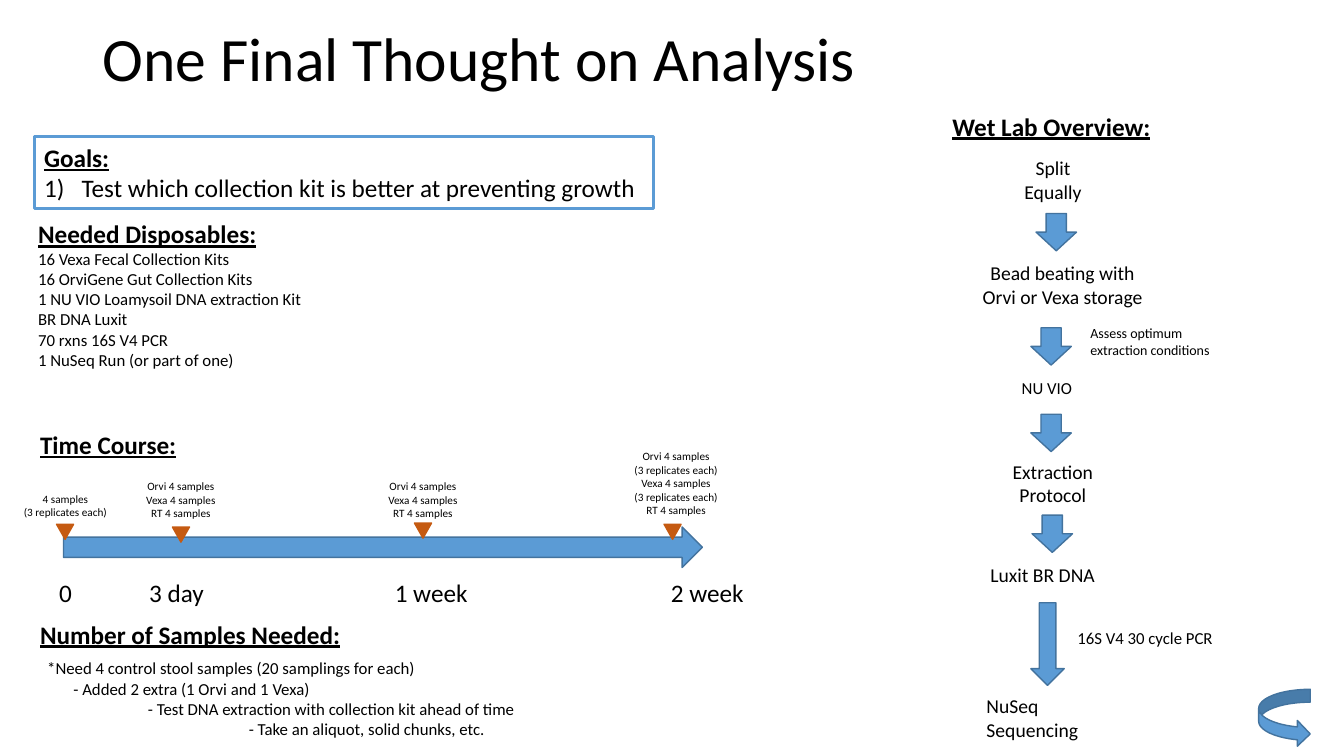
from dataclasses import dataclass

from pptx import Presentation
from pptx import util as u
from pptx.dml.color import RGBColor
from pptx.enum import shapes, text

COLORS = {
    "ink": "000000",
    "blue": "5B9BD5",
    "blue_edge": "43739E",
    "orange": "C55A11",
}
SHAPE = shapes.MSO_SHAPE
LEFT, CENTER = text.PP_ALIGN.LEFT, text.PP_ALIGN.CENTER


@dataclass
class Line:
    text: str
    size: float
    heading: bool = False
    indent: float = 0


@dataclass
class Box:
    left: float
    top: float
    width: float
    height: float


@dataclass
class Label:
    box: Box
    lines: list[Line]
    align: text.PP_ALIGN = LEFT


@dataclass
class Stop:
    name: str
    name_center: float
    name_width: float
    marker_center: float
    marker_top: float
    samples: list[str]
    samples_center: float
    samples_width: float
    samples_bottom: float


def heading(words: str) -> Line:
    return Line(words, 18, heading=True)


def body(size: float, *rows: str) -> list[Line]:
    return [Line(row, size) for row in rows]


def cm(box: Box) -> list[u.Length]:
    return [u.Cm(v) for v in (box.left, box.top, box.width, box.height)]


def rgb(name: str) -> RGBColor:
    return RGBColor.from_string(COLORS[name])


def write(tf, lines: list[Line], align=LEFT) -> None:
    for i, line in enumerate(lines):
        p = tf.paragraphs[0] if i == 0 else tf.add_paragraph()
        p.text = line.text
        p.alignment = align
        p.font.name = "Calibri"
        p.font.size = u.Pt(line.size)
        p.font.bold = line.heading
        p.font.underline = line.heading
        p.font.color.rgb = rgb("ink")
        if line.indent:
            p._p.get_or_add_pPr().set("marL", str(u.Cm(line.indent)))


def add_label(slide, label: Label) -> None:
    tf = slide.shapes.add_textbox(*cm(label.box)).text_frame
    tf.word_wrap = False
    tf.auto_size = text.MSO_AUTO_SIZE.SHAPE_TO_FIT_TEXT
    write(tf, label.lines, label.align)


def add_figure(slide, kind, box: Box, fill="blue", edge="blue_edge", weight=1.0):
    sp = slide.shapes.add_shape(kind, *cm(box))
    sp.shadow.inherit = False
    if fill:
        sp.fill.solid()
        sp.fill.fore_color.rgb = rgb(fill)
    else:
        sp.fill.background()
    sp.line.color.rgb = rgb(edge)
    sp.line.width = u.Pt(weight)
    return sp


def add_title(slide) -> None:
    tf = slide.shapes.add_textbox(*cm(Box(2.34, 1.02, 29.21, 1.5))).text_frame
    tf.word_wrap = True
    tf.vertical_anchor = text.MSO_ANCHOR.BOTTOM
    write(tf, body(44, "One Final Thought on Analysis"))
    tf.paragraphs[0].line_spacing = 0.9


def add_goals(slide) -> None:
    sp = add_figure(slide, SHAPE.RECTANGLE, Box(0.86, 3.45, 15.6, 1.8),
                    fill=None, edge="blue", weight=2.25)
    tf = sp.text_frame
    tf.word_wrap = False
    goal = Line("Test which collection kit is better at preventing growth", 18, indent=0.95)
    write(tf, [heading("Goals:"), goal])
    pPr = tf.paragraphs[1]._p.get_or_add_pPr()
    pPr.set("indent", str(-u.Cm(goal.indent)))
    number = pPr.makeelement(
        "{http://schemas.openxmlformats.org/drawingml/2006/main}buAutoNum",
        {"type": "arabicParenR"})
    pPr.insert_element_before(number, "a:tabLst", "a:defRPr", "a:extLst")


def add_stop(slide, stop: Stop) -> None:
    """Draw one sampling time: its samples, marker and name."""
    height = 0.25 + 0.34 * len(stop.samples)
    add_label(slide, Label(
        Box(stop.samples_center - stop.samples_width / 2, stop.samples_bottom - height,
            stop.samples_width, height),
        body(8, *stop.samples), CENTER))
    add_label(slide, Label(
        Box(stop.name_center - stop.name_width / 2, 14.43, stop.name_width, 1.02),
        body(18, stop.name)))
    marker = Box(stop.marker_center - 0.215, stop.marker_top, 0.43, 0.38)
    add_figure(slide, SHAPE.ISOSCELES_TRIANGLE, marker, "orange", "orange").rotation = 180


KITS = ["Orvi 4 samples", "Vexa 4 samples", "RT 4 samples"]
REPLICATES = "(3 replicates each)"
STOPS = [
    Stop("0", 1.66, 0.84, 1.64, 13.21, ["4 samples", REPLICATES], 1.65, 2.64, 13.21),
    Stop("3 day", 4.46, 1.9, 4.56, 13.28, KITS, 4.56, 2.36, 13.23),
    Stop("1 week", 10.88, 2.36, 10.66, 13.18, KITS, 10.66, 2.36, 13.23),
    Stop("2 week", 17.84, 2.36, 16.95, 13.21,
         [KITS[0], REPLICATES, KITS[1], REPLICATES, KITS[2]], 17.04, 2.64, 13.16),
]

LABELS = [
    Label(Box(0.71, 5.38, 7.29, 4.11), [heading("Needed Disposables:")] + body(
        12, "16 Vexa Fecal Collection Kits", "16 OrviGene Gut Collection Kits",
        "1 NU VIO Loamysoil DNA extraction Kit", "BR DNA Luxit",
        "70 rxns 16S V4 PCR", "1 NuSeq Run (or part of one)")),
    Label(Box(0.76, 10.69, 3.96, 1.02), [heading("Time Course:")]),
    Label(Box(0.76, 15.47, 8.13, 1.02), [heading("Number of Samples Needed:")]),
    Label(Box(0.94, 16.46, 12.45, 2.31), [
        Line("*Need 4 control stool samples (20 samplings for each)", 12),
        Line("- Added 2 extra (1 Orvi and 1 Vexa)", 12, indent=0.66),
        Line("- Test DNA extraction with collection kit ahead of time", 12, indent=2.54),
        Line("- Take an aliquot, solid chunks, etc.", 12, indent=5.08)]),
    Label(Box(23.75, 2.67, 5.54, 1.02), [heading("Wet Lab Overview:")]),
    Label(Box(25.55, 3.81, 1.98, 1.45), body(14, "Split", "Equally"), CENTER),
    Label(Box(24.28, 6.45, 5, 1.45),
          body(14, "Bead beating with", "Orvi or Vexa storage"), CENTER),
    Label(Box(27.23, 8.05, 3.58, 1.12),
          body(10, "Assess optimum", "extraction conditions")),
    Label(Box(25.5, 9.4, 1.98, 0.76), body(12, "NU VIO")),
    Label(Box(25.25, 11.46, 2.57, 1.45), body(14, "Extraction", "Protocol"), CENTER),
    Label(Box(24.71, 14.07, 3.35, 0.86), body(14, "Luxit BR DNA")),
    Label(Box(26.9, 15.7, 3.99, 0.76), body(12, "16S V4 30 cycle PCR")),
    Label(Box(24.61, 17.37, 4.24, 0.86), body(14, "NuSeq Sequencing")),
]

STEP_ARROWS = [(26.11, 5.38), (25.98, 8.26), (25.98, 10.44), (26.01, 12.98)]


def main() -> None:
    prs = Presentation()
    prs.slide_width, prs.slide_height = u.Cm(33.87), u.Cm(19.05)
    slide = prs.slides.add_slide(prs.slide_layouts[6])

    add_title(slide)
    add_goals(slide)
    for label in LABELS:
        add_label(slide, label)
    add_figure(slide, SHAPE.RIGHT_ARROW, Box(1.6, 13.28, 16.1, 1.02))
    for stop in STOPS:
        add_stop(slide, stop)
    for left, top in STEP_ARROWS:
        add_figure(slide, SHAPE.DOWN_ARROW, Box(left, top, 1.02, 0.94))
    add_figure(slide, SHAPE.DOWN_ARROW, Box(25.98, 15.19, 0.84, 2.08))
    add_figure(slide, SHAPE.CURVED_RIGHT_ARROW, Box(31.72, 17.37, 1.3, 1.45))

    prs.save("out.pptx")


if __name__ == "__main__":
    main()
